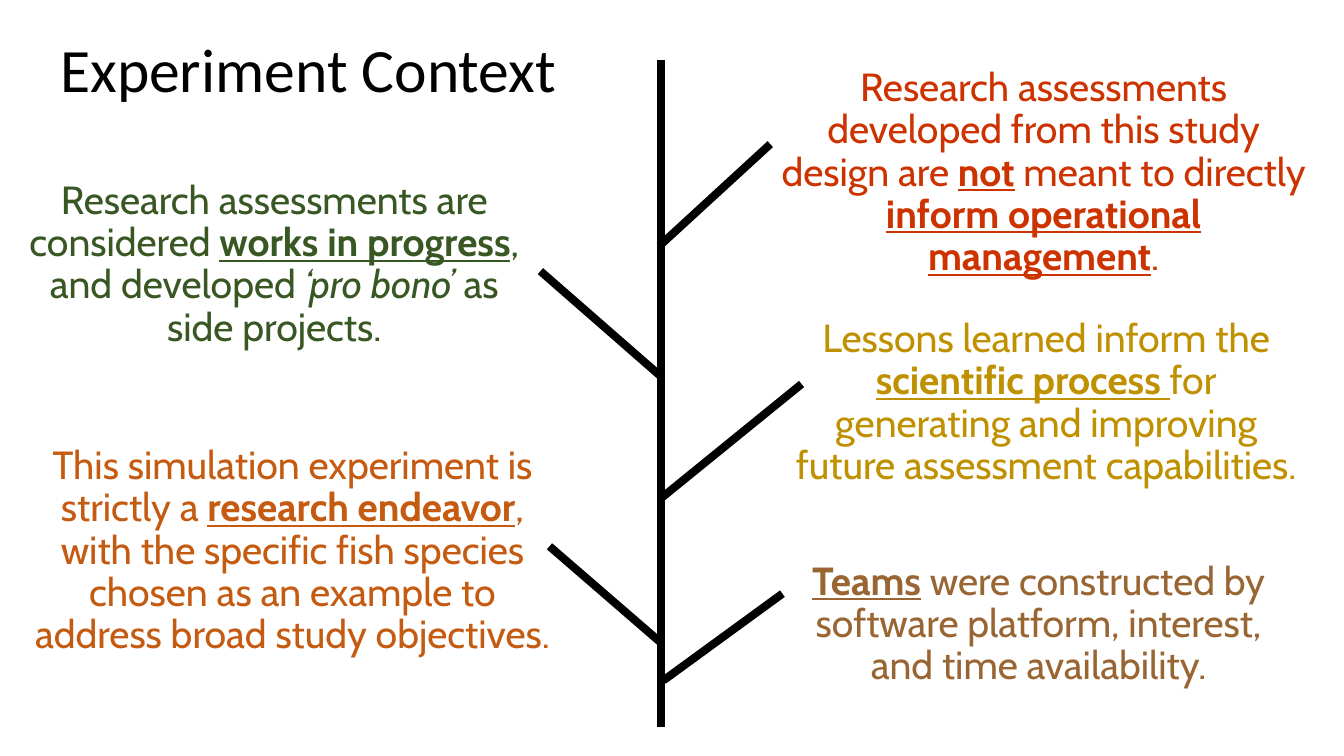
from dataclasses import dataclass

from lxml import etree
from pptx import Presentation
from pptx.dml.color import RGBColor
from pptx.enum.shapes import MSO_CONNECTOR
from pptx.enum.text import MSO_ANCHOR, PP_ALIGN
from pptx.oxml.ns import qn
from pptx.util import Inches, Pt

STRAIGHT = MSO_CONNECTOR.STRAIGHT
CENTER, LEFT = PP_ALIGN.CENTER, PP_ALIGN.LEFT
TOP, MIDDLE = MSO_ANCHOR.TOP, MSO_ANCHOR.MIDDLE


@dataclass(frozen=True)
class Theme:
    title_font: str = "Calibri"
    body_font: str = "Cabin"
    title_size: int = 44
    body_size: int = 28
    line_width: float = 5.75
    black: str = "000000"
    orange: str = "C55A11"
    red: str = "CC3300"
    green: str = "385723"
    brown: str = "996633"
    gold: str = "BF9000"


theme = Theme()
PLAIN = {}
KEY = {"bold": True, "underline": True}
ITALIC = {"italic": True}


def add_text(slide, box, runs, font_name, size, color, align, anchor):
    shape = slide.shapes.add_textbox(*map(Inches, box))
    frame = shape.text_frame
    frame.word_wrap = True
    frame.vertical_anchor = anchor
    paragraph = frame.paragraphs[0]
    paragraph.alignment = align
    paragraph.line_spacing = 0.9
    for text, emphasis in runs:
        run = paragraph.add_run()
        run.text = text
        run.font.color.rgb = RGBColor.from_string(color)
        formats = {"name": font_name, "size": Pt(size), **emphasis}
        for attribute, value in formats.items():
            setattr(run.font, attribute, value)


presentation = Presentation()
presentation.slide_width = Inches(13.33)
presentation.slide_height = Inches(7.5)
slide = presentation.slides.add_slide(presentation.slide_layouts[6])

# Title
add_text(slide, (0.5, -0.01, 11.5, 1.45), [("Experiment Context", PLAIN)],
         theme.title_font, theme.title_size, theme.black, LEFT, MIDDLE)

# Trunk, then its branches
lines = [
    (6.56, 0.6, 6.56, 7.21),
    (7.64, 1.43, 6.54, 2.44),
    (5.36, 2.69, 6.55, 3.73),
    (6.56, 4.94, 7.95, 3.81),
    (6.56, 6.38, 5.45, 5.42),
    (6.58, 6.75, 7.76, 5.89),
]
for ends in lines:
    connector = slide.shapes.add_connector(STRAIGHT, *map(Inches, ends))
    connector.line.color.rgb = RGBColor.from_string(theme.black)
    connector.line.width = Pt(theme.line_width)
    etree.SubElement(connector._element.spPr, qn("a:effectLst"))

# Statements at the branch ends
statements = [
    ((0.17, 1.74, 5.1, 1.88), theme.green, [
        ("Research assessments are considered ", PLAIN),
        ("works in progress", KEY),
        (", and developed ", PLAIN),
        ("‘pro bono’ ", ITALIC),
        ("as side projects.", PLAIN),
    ]),
    ((0.16, 4.37, 5.48, 1.95), theme.orange, [
        ("This simulation experiment is strictly a ", PLAIN),
        ("research endeavor", KEY),
        (", with the specific fish species chosen as an example to "
         "address broad study objectives.", PLAIN),
    ]),
    ((7.56, 0.62, 5.58, 1.88), theme.red, [
        ("Research assessments developed from this study design are ", PLAIN),
        ("not", KEY),
        (" meant to directly ", PLAIN),
        ("inform operational management", KEY),
        (".", PLAIN),
    ]),
    ((7.75, 3.11, 5.25, 1.88), theme.gold, [
        ("Lessons learned inform the ", PLAIN),
        ("scientific process ", KEY),
        ("for generating and improving future assessment capabilities.", PLAIN),
    ]),
    ((7.75, 5.52, 5.1, 1.88), theme.brown, [
        ("Teams", KEY),
        (" were constructed by software platform, interest, "
         "and time availability.", PLAIN),
    ]),
]
for box, color, runs in statements:
    add_text(slide, box, runs, theme.body_font, theme.body_size, color,
             CENTER, TOP)

presentation.save("out.pptx")
